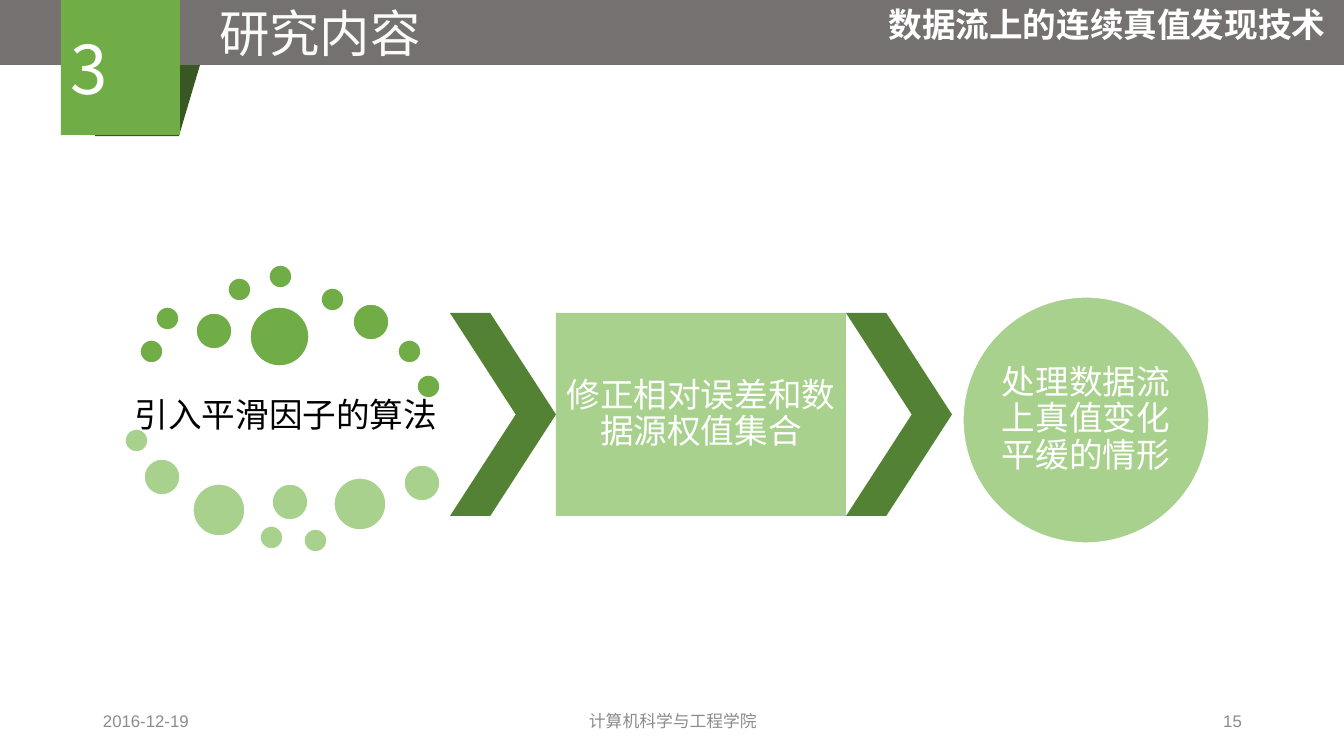
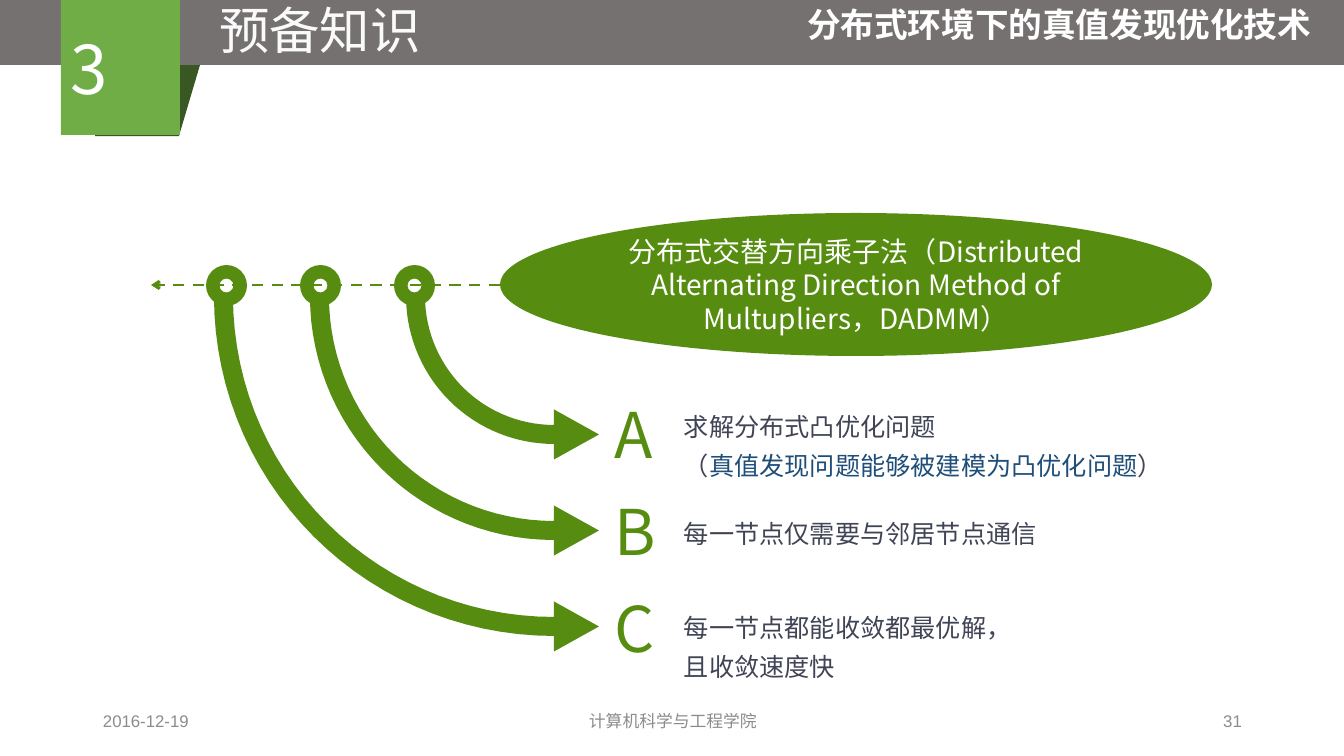
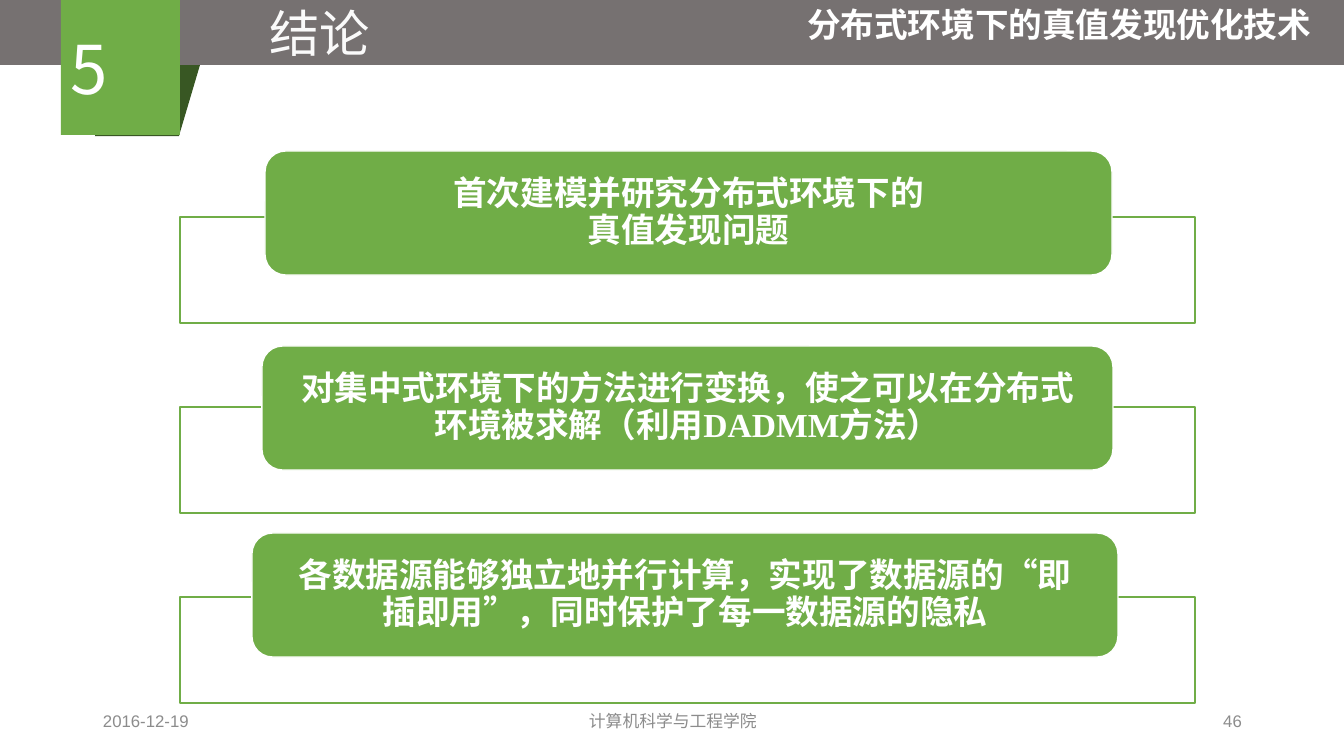
import math

import pptx
import pptx.util
import pptx.dml.color
import pptx.enum.dml
import pptx.enum.shapes
import pptx.enum.text
import pptx.oxml
import pptx.oxml.ns

PX = 12192000 / 1344
SHAPE = pptx.enum.shapes.MSO_SHAPE
LEFT = pptx.enum.text.PP_ALIGN.LEFT
CENTER = pptx.enum.text.PP_ALIGN.CENTER
RIGHT = pptx.enum.text.PP_ALIGN.RIGHT
TOP = pptx.enum.text.MSO_ANCHOR.TOP
MIDDLE = pptx.enum.text.MSO_ANCHOR.MIDDLE
CJK = "Noto Sans CJK SC"
COLORS = {
    "band": "767171", "title": "FAFAFA", "white": "FFFFFF", "black": "000000",
    "green": "70AD47", "light": "A9D18E", "dark": "548235", "fold": "385723",
    "leaf": "568D11", "body": "414455", "blue": "1F4E79", "footer": "8C8C8C",
}


def emu(px):
    return pptx.util.Emu(round(px * PX))


def rgb(name):
    return pptx.dml.color.RGBColor.from_string(COLORS[name])


class Deck:
    """Holds the shared style and the slide being built."""

    def __init__(self):
        self.prs = pptx.Presentation()
        self.prs.slide_width, self.prs.slide_height = emu(1344), emu(756)
        self.s = None

    def slide(self, number, title, topic, topic_x, page, title_h=64):
        self.s = self.prs.slides.add_slide(self.prs.slide_layouts[5])
        self.shape(SHAPE.RECTANGLE, (0, 0, 1344, 65), "band")
        sp = self.s.shapes.title
        self.s.shapes._spTree.append(sp._element)
        sp.left, sp.top, sp.width, sp.height = map(emu, (148, 0, 344, title_h))
        self.label(sp, [[title]], 36, "title", inset=(10, 5))
        self.shape(SHAPE.FLOWCHART_DATA, (95, 65, 105, 71), "fold")
        tab = self.shape(SHAPE.RECTANGLE, (61, 0, 119, 135), "green")
        self.label(tab, [[number]], 48, "white", LEFT, inset=(9, 5))
        self.text((topic_x, 0, 1344 - topic_x, 49), [[topic]], 24, "white",
                  CENTER, bold=True, inset=(10, 5))
        for x, w, words, align in ((93, 302, "2016-12-19", LEFT),
                                   (446, 454, "计算机科学与工程学院", CENTER),
                                   (950, 302, page, RIGHT)):
            self.text((x, 701, w, 40), [[words]], 12, "footer", align,
                      font="Arial", inset=(10, 5))

    def paint(self, sp, fill, line=None):
        sp.shadow.inherit = False
        sp.fill.solid()
        sp.fill.fore_color.rgb = rgb(fill)
        if line:
            sp.line.color.rgb = rgb(line)
            sp.line.width = pptx.util.Pt(1)
        else:
            sp.line.fill.background()
        return sp

    def shape(self, kind, box, fill, line=None, adj=None):
        sp = self.s.shapes.add_shape(kind, *map(emu, box))
        if adj is not None:
            sp.adjustments[0] = adj
        return self.paint(sp, fill, line)

    def polygon(self, points, fill):
        pts = [(emu(x), emu(y)) for x, y in points]
        fb = self.s.shapes.build_freeform(*pts[0], scale=1.0)
        fb.add_line_segments(pts[1:], close=True)
        return self.paint(fb.convert_to_shape(), fill)

    def dashed_arrow(self, start, end, color):
        line = self.s.shapes.add_connector(
            pptx.enum.shapes.MSO_CONNECTOR.STRAIGHT, *map(emu, start + end))
        line.line.color.rgb = rgb(color)
        line.line.width = pptx.util.Pt(0)
        line.line.dash_style = pptx.enum.dml.MSO_LINE.DASH
        ns = pptx.oxml.ns.nsdecls("a")
        ln = line.line._get_or_add_ln()
        ln.append(pptx.oxml.parse_xml(f'<a:tailEnd {ns} type="arrow"/>'))
        line._element.spPr.append(pptx.oxml.parse_xml(f"<a:effectLst {ns}/>"))

    def text(self, box, paras, size, color, align=LEFT, **style):
        sp = self.s.shapes.add_textbox(*map(emu, box))
        return self.label(sp, paras, size, color, align, **style)

    def label(self, sp, paras, size, color, align=CENTER, font=CJK, bold=False,
              inset=(3, 3), anchor=MIDDLE, spacing=None, wrap=True):
        tf = sp.text_frame
        tf.word_wrap = wrap
        tf.auto_size = pptx.enum.text.MSO_AUTO_SIZE.NONE
        tf.vertical_anchor = anchor
        tf.margin_left = tf.margin_right = emu(inset[0])
        tf.margin_top = tf.margin_bottom = emu(inset[1])
        for i, runs in enumerate(paras):
            p = tf.add_paragraph() if i else tf.paragraphs[0]
            p.alignment = align
            if spacing:
                p.line_spacing = spacing
            for run in runs:
                words, ink, face = (run, color, font) if isinstance(run, str) else run
                r = p.add_run()
                r.text = words
                r.font.size = pptx.util.Pt(size)
                r.font.bold = bold
                r.font.color.rgb = rgb(ink)
                r.font.name = face
                r.font._element.append(pptx.oxml.parse_xml(
                    f'<a:ea {pptx.oxml.ns.nsdecls("a")} typeface="{CJK}"/>'))
        return sp


def research(d):
    d.slide("3", "研究内容", "数据流上的连续真值发现技术", 870, "15")
    d.text((121, 369, 330, 95), [["引入平滑因子的算法"]], 24, "black", CENTER,
           spacing=0.9)
    dots = {
        "green": [(140, 340, 23), (156, 307, 23), (196, 313, 36), (228, 278, 23),
                  (269, 265, 23), (321, 288, 23), (353, 304, 36), (398, 340, 23),
                  (417, 375, 23), (250, 307, 59)],
        "light": [(125, 429, 23), (144, 459, 36), (193, 484, 52), (260, 526, 23),
                  (272, 484, 36), (304, 529, 23), (334, 478, 52), (404, 465, 36)],
    }
    for color, circles in dots.items():
        for x, y, size in circles:
            d.shape(SHAPE.OVAL, (x, y, size, size), color, "white")
    for x in (450, 846):
        d.shape(SHAPE.CHEVRON, (x, 313, 106, 203), "dark", adj=0.62)
    step = d.shape(SHAPE.RECTANGLE, (556, 313, 290, 203), "light")
    d.label(step, [["修正相对误差和数据源权值集合"]], 24, "white", spacing=0.9)
    goal = d.shape(SHAPE.OVAL, (963, 297, 246, 246), "light", "white")
    d.label(goal, [["处理数据流上真值变化平缓的情形"]], 24, "white",
            inset=(0, 0), spacing=0.9)


def curved_arrow(radius, cx=554, cy=296, thick=19, head=25, length=45):
    """Return the outline of a quarter-circle arrow that ends pointing right."""
    angles = [math.radians(a) for a in range(0, 91, 3)]

    def arc(r):
        return [(cx - r * math.cos(a), cy + r * math.sin(a)) for a in angles]

    mid = cy + radius - thick / 2
    tip = [(cx, mid + head), (cx + length, mid), (cx, mid - head)]
    return arc(radius) + tip + arc(radius - thick)[::-1]


def background(d):
    d.slide("3", "预备知识", "分布式环境下的真值发现优化技术", 774, "31", title_h=58)
    method = d.shape(SHAPE.OVAL, (500, 213, 712, 143), "leaf")
    d.label(method, [["分布式交替方向乘子法（Distributed Alternating Direction "
                      "Method of Multupliers，DADMM）"]], 20, "white", inset=(8, 4))
    d.dashed_arrow((500, 285), (151, 285), "leaf")
    points = [
        ("A", 398, 127, [["求解分布式凸优化问题"],
                         ["（", ("真值发现问题能够被建模为凸优化问题", "blue", "Quicksand"), "）"]]),
        ("B", 505, 48, [["每一节点仅需要与邻居节点通信"]]),
        ("C", 599, 84, [["每一节点都能收敛都最优解，"], ["且收敛速度快"]]),
    ]
    for i, (letter, y, h, paras) in enumerate(points):
        d.shape(SHAPE.DONUT, (394 - 94 * i, 265, 41, 41), "leaf", adj=0.33)
        d.polygon(curved_arrow(148 + 96 * i), "leaf")
        d.text((606, 391 + 97 * i, 61, 84), [[letter]], 45, "leaf",
               inset=(8, 4), wrap=False)
        d.text((676, y, 521, h), paras, 18, "body", inset=(8, 4), anchor=TOP,
               spacing=1.3)


def conclusion(d):
    d.slide("5", "结论", "分布式环境下的真值发现优化技术", 774, "46")
    findings = [
        (265, 151, 847, CJK, [["首次建模并研究分布式环境下的"], ["真值发现问题"]]),
        (262, 346, 851, "Times New Roman",
         [["对集中式环境下的方法进行变换，使之可以在分布式环境被求解（利用DADMM方法）"]]),
        (252, 533, 866, CJK,
         [["各数据源能够独立地并行计算，实现了数据源的“即插即用”，同时保护了每一数据源的隐私"]]),
    ]
    for i, (x, y, w, font, paras) in enumerate(findings):
        d.shape(SHAPE.RECTANGLE, (180, 217 + 190 * i, 1015, 106), "white", "green")
        card = d.shape(SHAPE.ROUNDED_RECTANGLE, (x, y, w, 124), "green", "white")
        d.label(card, paras, 24, "white", font=font, bold=True, inset=(27, 0),
                spacing=0.9)


def main():
    d = Deck()
    research(d)
    background(d)
    conclusion(d)
    d.prs.save("out.pptx")


if __name__ == "__main__":
    main()
